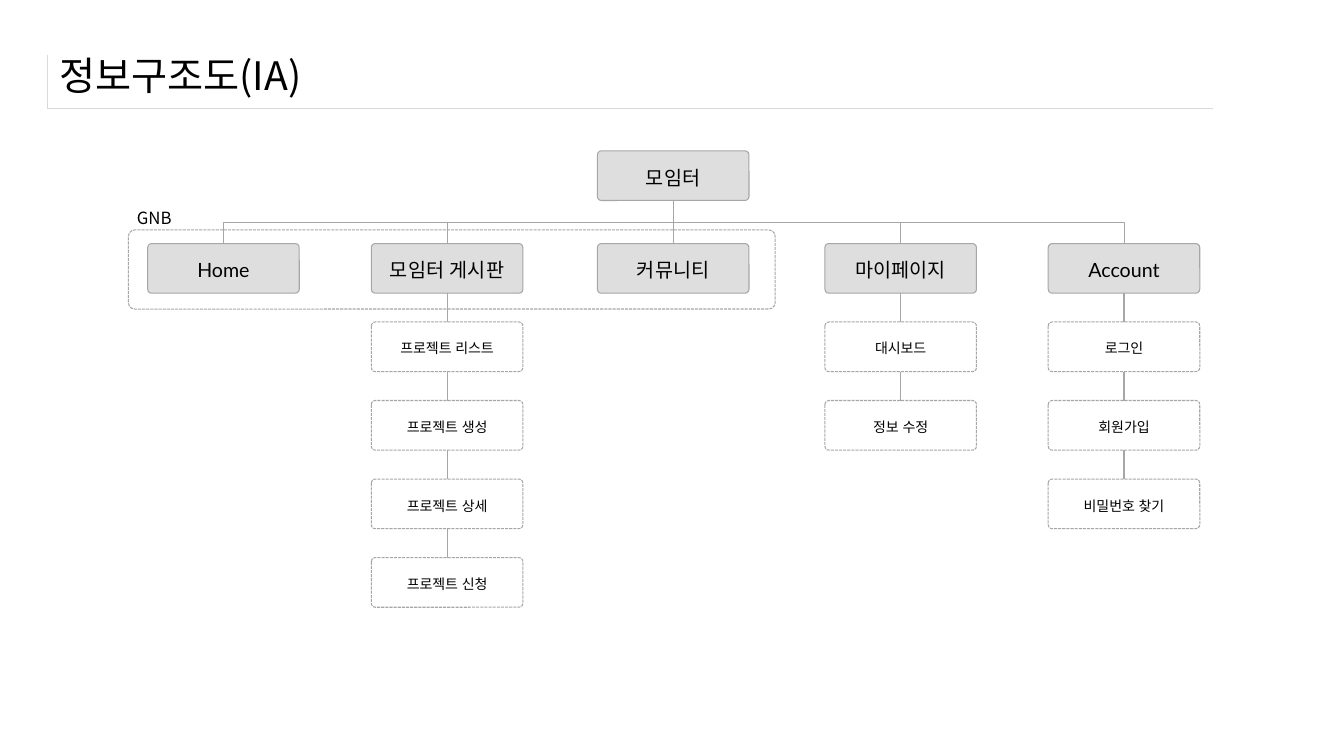
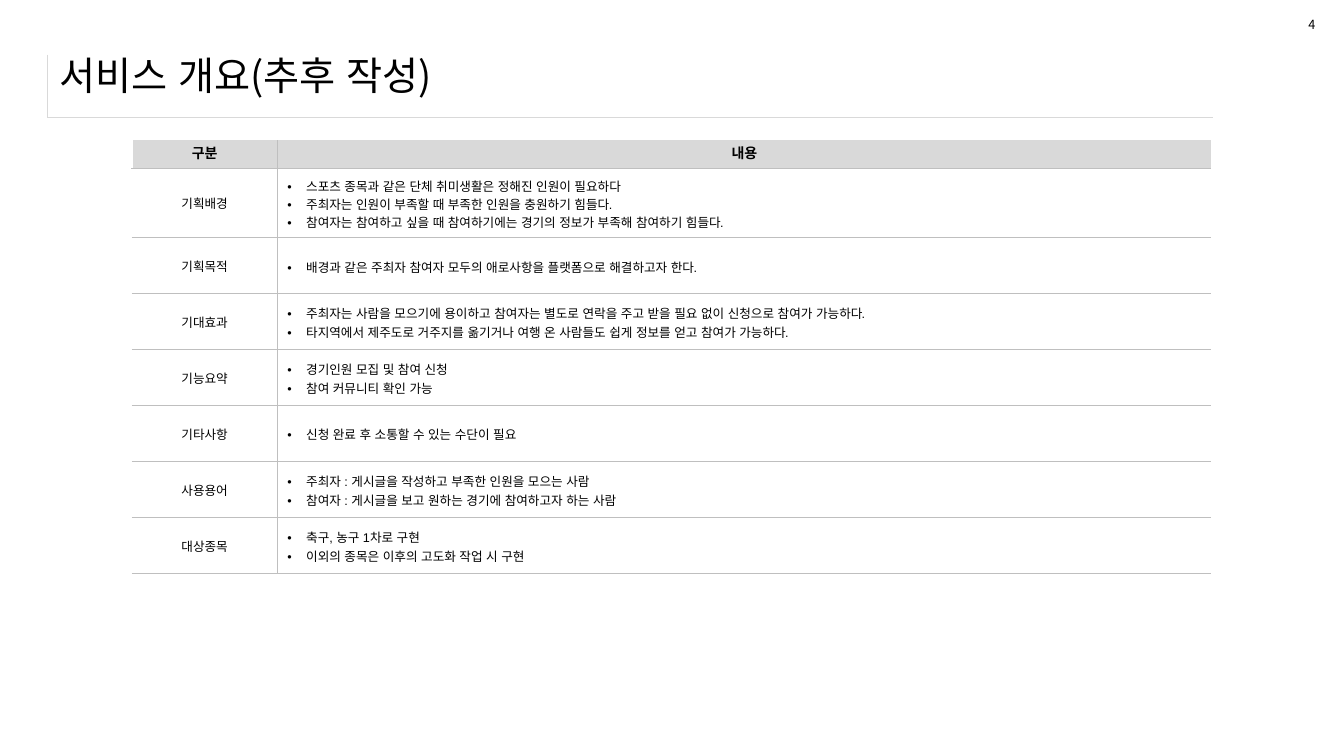
from lxml import etree
from pptx import Presentation
from pptx.dml.color import RGBColor
from pptx.enum import dml, shapes, text
from pptx.oxml import ns
from pptx.util import Pt

color = RGBColor.from_string
BLACK, WHITE = "000000", "FFFFFF"
FRAME_GRAY, LINE_GRAY, RULE_GRAY = "D9D9D9", "A6A6A6", "BFBFBF"
MENU_FILL, HEADER_FILL = "DEDEDE", "D9D9D9"
KOREAN, LATIN, BODY = "Noto Sans CJK KR", "Lato", "Arial"
CENTER, JUSTIFY = text.PP_ALIGN.CENTER, text.PP_ALIGN.JUSTIFY
MIDDLE = text.MSO_ANCHOR.MIDDLE


def write(paragraph, words, size, font, alignment=text.PP_ALIGN.LEFT, bold=False):
    paragraph.alignment = alignment
    run = paragraph.add_run()
    run.text = words
    for name, value in {"size": Pt(size), "name": font, "bold": bold}.items():
        setattr(run.font, name, value)
    run.font.color.rgb = color(BLACK)
    east_asian = etree.SubElement(run.font._element, ns.qn("a:ea"))
    east_asian.set("typeface", BODY)


def set_borders(cell, left=None, right=None, top=None, bottom=None):
    properties = cell._tc.get_or_add_tcPr()
    sides = {"a:lnL": left, "a:lnR": right, "a:lnT": top, "a:lnB": bottom}
    for position, (side, border) in enumerate(sides.items()):
        edge = etree.Element(ns.qn(side))
        edge.set("w", str(Pt(1 if border == WHITE else 0.25)))
        fill = etree.SubElement(edge, ns.qn("a:solidFill" if border else "a:noFill"))
        if border:
            etree.SubElement(fill, ns.qn("a:srgbClr")).set("val", border)
        properties.insert(position, edge)


presentation = Presentation()
presentation.slide_width, presentation.slide_height = Pt(960), Pt(540)

slides = []
for heading, frame_height in (("정보구조도(IA)", 38.25), ("서비스 개요(추후 작성)", 44.5)):
    slide = presentation.slides.add_slide(presentation.slide_layouts[5])
    slides.append(slide)
    frame = slide.shapes.add_table(1, 1, Pt(34), Pt(39), Pt(832.5), Pt(frame_height)).table
    frame.first_row = frame.horz_banding = False
    frame.cell(0, 0).fill.background()
    set_borders(frame.cell(0, 0), left=FRAME_GRAY, bottom=FRAME_GRAY)

    title = slide.shapes.title
    place = {"left": 35.5, "top": 29.5, "width": 899, "height": 48}
    for name, value in place.items():
        setattr(title, name, Pt(value))
    title.text_frame.vertical_anchor = MIDDLE
    title.text_frame.auto_size = text.MSO_AUTO_SIZE.NONE
    write(title.text_frame.paragraphs[0], heading, 28, KOREAN)

structure, overview = slides

BOX_WIDTH, BOX_HEIGHT = 108.25, 35.5
ROOT_LEFT, ROOT_TOP, MENU_TOP = 426.75, 107.75, 174
PAGE_TOP, PAGE_STEP = 230, 56.1
menus = [
    (105.5, "Home", []),
    (265.25, "모임터 게시판", ["프로젝트 리스트", "프로젝트 생성", "프로젝트 상세", "프로젝트 신청"]),
    (ROOT_LEFT, "커뮤니티", []),
    (589.25, "마이페이지", ["대시보드", "정보 수정"]),
    (748.75, "Account", ["로그인", "회원가입", "비밀번호 찾기"]),
]

boxes = [("root", None, "모임터", ROOT_LEFT, ROOT_TOP)]
for left, menu, pages in menus:
    boxes.append((menu, "root", menu, left, MENU_TOP))
    parent = menu
    for index, page in enumerate(pages):
        boxes.append((page, parent, page, left, PAGE_TOP + index * PAGE_STEP))
        parent = page

placed = {}
box_text = {
    "margin_top": Pt(5.75),
    "margin_bottom": Pt(3.6),
    "vertical_anchor": MIDDLE,
    "word_wrap": True,
}
for key, parent, label, left, top in boxes:
    is_page = top >= PAGE_TOP
    shape = structure.shapes.add_shape(
        shapes.MSO_SHAPE.ROUNDED_RECTANGLE, Pt(left), Pt(top), Pt(BOX_WIDTH), Pt(BOX_HEIGHT)
    )
    shape.adjustments[0] = 0.08
    shape.shadow.inherit = False
    shape.fill.solid()
    shape.fill.fore_color.rgb = color(WHITE if is_page else MENU_FILL)
    shape.line.color.rgb = color(LINE_GRAY)
    shape.line.width = Pt(0.75)
    if is_page:
        shape.line.dash_style = dml.MSO_LINE.SQUARE_DOT
    for name, value in box_text.items():
        setattr(shape.text_frame, name, value)
    write(shape.text_frame.paragraphs[0], label, 10 if is_page else 14, LATIN, CENTER)
    placed[key] = shape, left, top
    if parent is None:
        continue

    parent_shape, parent_left, parent_top = placed[parent]
    start = parent_left + BOX_WIDTH / 2, parent_top + BOX_HEIGHT
    end = left + BOX_WIDTH / 2, top
    across, down = end[0] - start[0], end[1] - start[1]
    kind = shapes.MSO_CONNECTOR.ELBOW if across else shapes.MSO_CONNECTOR.STRAIGHT
    connector = structure.shapes.add_connector(kind, *[Pt(value) for value in (*start, *end)])
    connector.line.color.rgb = color(LINE_GRAY)
    connector.line.width = Pt(0.75)
    etree.SubElement(connector._element.spPr, ns.qn("a:effectLst"))
    connector.begin_connect(parent_shape, 2)
    connector.end_connect(shape, 0)
    if across:
        place = {
            "left": (start[0] + end[0] - down) / 2,
            "top": (start[1] + end[1] - abs(across)) / 2,
            "width": down,
            "height": abs(across),
        }
        for name, value in place.items():
            setattr(connector, name, Pt(value))
        transform = connector._element.spPr.xfrm
        transform.set("rot", "16200000" if across > 0 else "5400000")
        transform.set("flipH", "1" if across > 0 else "0")

group = structure.shapes.add_shape(
    shapes.MSO_SHAPE.ROUNDED_RECTANGLE, Pt(91.75), Pt(164.25), Pt(462), Pt(56.5)
)
group.adjustments[0] = 0.08
group.shadow.inherit = False
group.fill.background()
group.line.color.rgb = color(LINE_GRAY)
group.line.width = Pt(0.75)
group.line.dash_style = dml.MSO_LINE.SQUARE_DOT

labels = [
    (structure, "GNB", 12, (90.75, 144.75, 39.5, 21.5)),
    (overview, "4", 9, (927.5, 8.5, 19.5, 18)),
]
for slide, label, size, area in labels:
    shape = slide.shapes.add_textbox(*[Pt(value) for value in area])
    shape.text_frame.word_wrap = False
    write(shape.text_frame.paragraphs[0], label, size, KOREAN)

rows = [
    ("구분", ["내용"]),
    ("기획배경", [
        "스포츠 종목과 같은 단체 취미생활은 정해진 인원이 필요하다",
        "주최자는 인원이 부족할 때 부족한 인원을 충원하기 힘들다. ",
        "참여자는 참여하고 싶을 때 참여하기에는 경기의 정보가 부족해 참여하기 힘들다.",
    ]),
    ("기획목적", ["배경과 같은 주최자 참여자 모두의 애로사항을 플랫폼으로 해결하고자 한다."]),
    ("기대효과", [
        "주최자는 사람을 모으기에 용이하고 참여자는 별도로 연락을 주고 받을 필요 없이 신청으로 참여가 가능하다.",
        "타지역에서 제주도로 거주지를 옮기거나 여행 온 사람들도 쉽게 정보를 얻고 참여가 가능하다.",
    ]),
    ("기능요약", ["경기인원 모집 및 참여 신청", "참여 커뮤니티 확인 가능"]),
    ("기타사항", ["신청 완료 후 소통할 수 있는 수단이 필요"]),
    ("사용용어", [
        "주최자 : 게시글을 작성하고 부족한 인원을 모으는 사람",
        "참여자 : 게시글을 보고 원하는 경기에 참여하고자 하는 사람",
    ]),
    ("대상종목", ["축구, 농구 1차로 구현", "이외의 종목은 이후의 고도화 작업 시 구현"]),
]
row_heights = [20.25, 43.25] + [40] * 6
column_widths = [103.75, 667.25]

table = overview.shapes.add_table(
    len(rows), 2, Pt(94.25), Pt(100), Pt(sum(column_widths)), Pt(sum(row_heights))
).table
table.first_row = table.horz_banding = False
for column, width in zip(table.columns, column_widths):
    column.width = Pt(width)

for row_index, (category, items) in enumerate(rows):
    table.rows[row_index].height = Pt(row_heights[row_index])
    is_header = row_index == 0
    for column_index, lines in enumerate(([category], items)):
        cell = table.cell(row_index, column_index)
        cell.vertical_anchor = MIDDLE
        if is_header:
            cell.fill.solid()
            cell.fill.fore_color.rgb = color(HEADER_FILL)
        else:
            cell.fill.background()
        set_borders(
            cell,
            left=RULE_GRAY if column_index else WHITE if is_header else None,
            right=None if column_index else RULE_GRAY,
            top=None if is_header else RULE_GRAY,
            bottom=RULE_GRAY,
        )

        for line_index, line in enumerate(lines):
            body = cell.text_frame
            paragraph = body.add_paragraph() if line_index else body.paragraphs[0]
            if is_header:
                write(paragraph, line, 10, KOREAN, CENTER, True)
                continue
            write(paragraph, line, 9, BODY, JUSTIFY if column_index else CENTER)
            paragraph.line_spacing = 1.3 if column_index else 1.2
            if column_index:
                settings = paragraph._p.get_or_add_pPr()
                settings.set("marL", str(Pt(13.5)))
                settings.set("indent", str(Pt(-13.5)))
                etree.SubElement(settings, ns.qn("a:buFont")).set("typeface", BODY)
                etree.SubElement(settings, ns.qn("a:buChar")).set("char", "•")

presentation.save("out.pptx")
